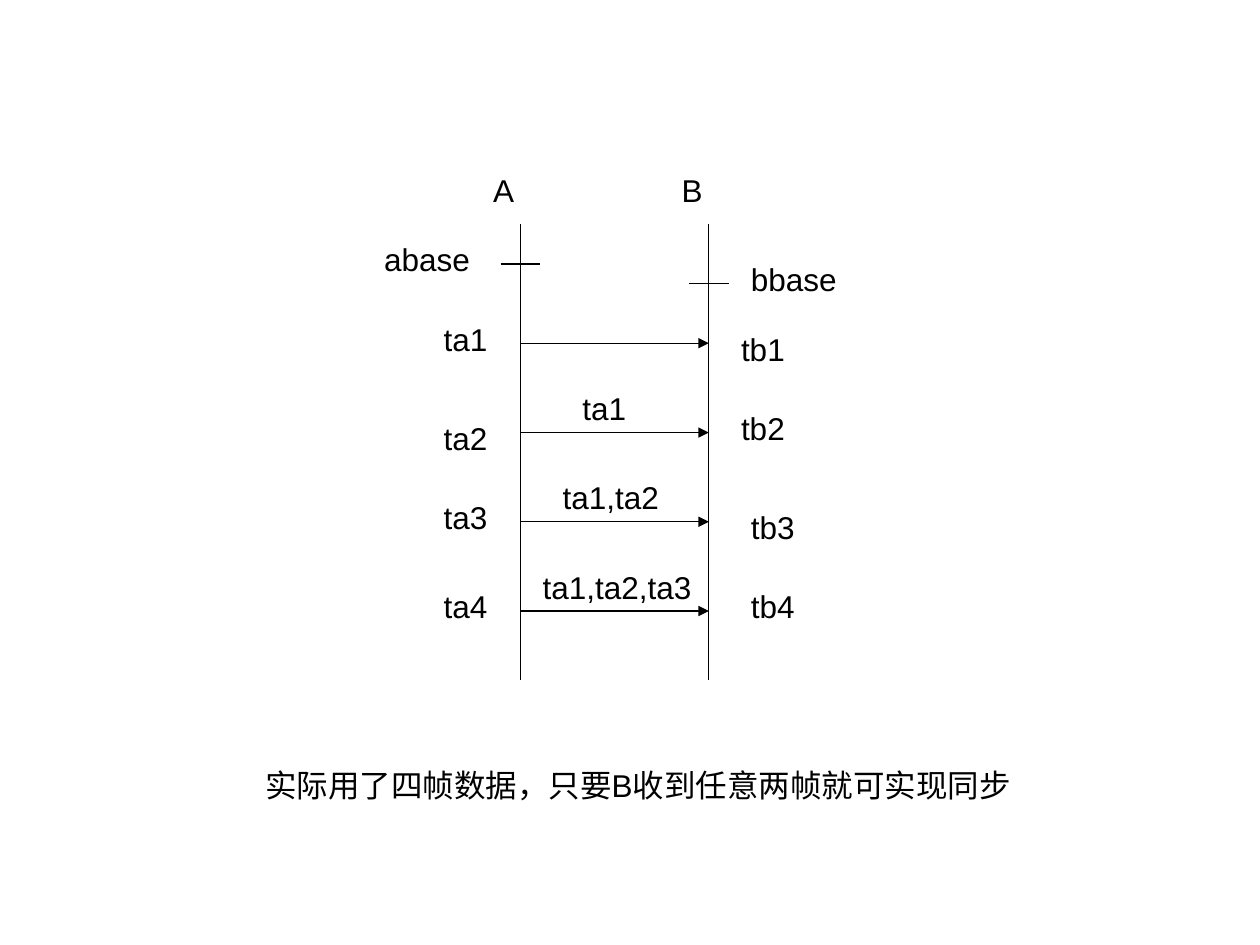
from lxml.etree import SubElement
from pptx import Presentation
from pptx.dml.color import RGBColor
from pptx.enum.shapes import MSO_CONNECTOR
from pptx.oxml.ns import qn
from pptx.util import Inches, Pt

prs = Presentation()
prs.slide_width, prs.slide_height = Inches(10), Inches(7.5)
s = prs.slides.add_slide(prs.slide_layouts[6])
diagram = s.shapes.add_group_shape()

# Grid: origin at the top of line A, one square cell as the unit
CELL = 0.0787
LEFT, TOP = 4.13, 1.78
A, B = 0, 19
END = 46
FIRST, PITCH = 12, 9
BLACK = "000000"


def add_line(x1, y1, x2, y2, arrow=False):
    """Draw a line between two grid points."""
    sp = diagram.shapes.add_connector(
        MSO_CONNECTOR.STRAIGHT,
        Inches(LEFT + x1 * CELL), Inches(TOP + y1 * CELL),
        Inches(LEFT + x2 * CELL), Inches(TOP + y2 * CELL))
    sp.line.color.rgb = RGBColor.from_string(BLACK)
    sp.line.width = Pt(0.75)
    if arrow:
        SubElement(sp.line._get_or_add_ln(), qn("a:tailEnd"), type="triangle")
    SubElement(sp._element.spPr, qn("a:effectLst"))


def add_label(shapes, text, col, row, width):
    """Write text in a box whose top left corner is a grid point."""
    sp = shapes.add_textbox(Inches(LEFT + col * CELL), Inches(TOP + row * CELL),
                            Inches(width), Inches(0.4))
    tf = sp.text_frame
    tf.word_wrap = True
    r = tf.paragraphs[0].add_run()
    r.text = text
    r.font.name = "Arial"
    r.font.size = Pt(18)
    r.font.color.rgb = RGBColor.from_string(BLACK)


# Time lines with their base ticks
for x, tick in ((A, 4), (B, 6)):
    add_line(x, 0, x, END)
    add_line(x - 2, tick, x + 2, tick)

# Messages from A to B
for i in range(4):
    y = FIRST + i * PITCH
    add_line(A, y, B, y, arrow=True)

for text, col, row, width in (
    ("A", A - 4, -6, 0.58), ("B", B - 4, -6, 0.58),
    ("abase", A - 15, 1, 0.97), ("bbase", B + 3, 3, 0.94),
    ("ta1", A - 9, 9, 0.55), ("tb1", B + 2, 10, 0.55),
    ("ta2", A - 9, 19, 0.55), ("tb2", B + 2, 18, 0.55),
    ("ta3", A - 9, 27, 0.55), ("tb3", B + 3, 28, 0.55),
    ("ta4", A - 9, 36, 0.55), ("tb4", B + 3, 36, 0.55),
    ("ta1", A + 5, 16, 0.55),
    ("ta1,ta2", A + 3, 25, 1.02),
    ("ta1,ta2,ta3", A + 1, 34, 1.57),
):
    add_label(diagram.shapes, text, col, row, width)

add_label(s.shapes, "实际用了四帧数据，只要B收到任意两帧就可实现同步", -27, 54, 6.38)

prs.save("out.pptx")
